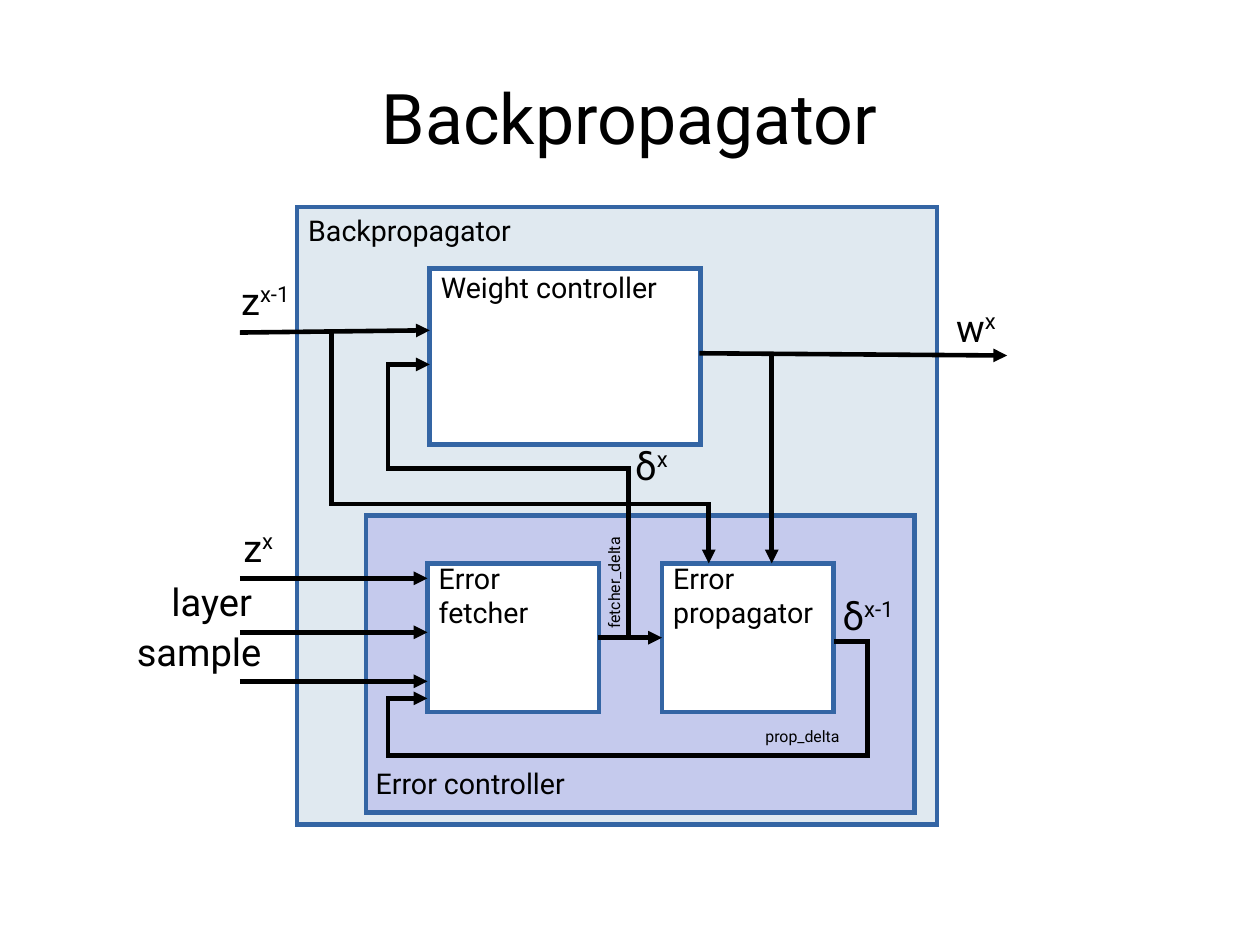
"""Draw the block diagram of the backpropagator."""
from typing import NamedTuple

from lxml import etree
from pptx import Presentation
from pptx import util as u
from pptx.dml.color import RGBColor
from pptx.enum import shapes, text
from pptx.oxml import ns

FONT = "Roboto"
INK, EDGE, WHITE = "000000", "3465A4", "FFFFFF"
WIDTH = 2.89
LEFT, RIGHT, MID = text.PP_ALIGN.LEFT, text.PP_ALIGN.RIGHT, text.PP_ALIGN.CENTER


class Box(NamedTuple):
    """A filled block, in centimetres."""
    x: float
    y: float
    w: float
    h: float
    fill: str = WHITE


class Label(NamedTuple):
    """A text with its place, in centimetres, and its format."""
    words: str
    x: float
    y: float
    w: float
    h: float
    size: int = 18
    sup: str = ""
    align: text.PP_ALIGN = LEFT
    turn: int = 0


BOXES = [
    Box(6.6, 4.6, 14.22, 13.72, "E0E9F0"),
    Box(8.13, 11.46, 12.19, 6.6, "C5CAED"),
    Box(9.55, 5.97, 6.02, 3.91),
    Box(9.5, 12.52, 3.81, 3.3),
    Box(14.71, 12.52, 3.81, 3.3),
]

WIRES = [
    [(13.28, 14.17), (14.71, 14.17)],
    [(13.97, 14.17), (13.97, 10.41), (8.62, 10.41), (8.62, 8.1), (9.55, 8.1)],
    [(15.54, 7.85), (22.38, 7.9)],
    [(17.15, 7.85), (17.15, 12.52)],
    [(18.54, 14.25), (19.28, 14.25), (19.28, 16.79), (8.62, 16.79),
     (8.62, 15.52), (9.5, 15.52)],
    [(5.33, 7.39), (9.55, 7.34)],
    [(7.37, 7.34), (7.37, 11.2), (15.75, 11.2), (15.75, 12.52)],
    *([(5.33, y), (9.5, y)] for y in (12.85, 14.05, 15.14)),
]

LABELS = [
    Label("Backpropagator", 1.4, 0.84, 25.2, 3.5, 44, align=MID),
    Label("Backpropagator", 6.6, 4.6, 11.2, 1.3),
    Label("Weight controller", 9.55, 5.87, 6.91, 2.51),
    Label("Error \nfetcher", 9.5, 12.34, 3.56, 2.51),
    Label("Error \npropagator", 14.71, 12.34, 3.81, 3.05),
    Label("Error controller", 8.1, 16.89, 6.91, 2.51),
    Label("z", 5.11, 6.04, 1.8, 1.5, 24, "x-1"),
    Label("z", 5.05, 11.53, 1.27, 1.78, 24, "x", RIGHT),
    Label("w", 20.88, 6.63, 1.5, 1.5, 24, "x", RIGHT),
    Label("δ", 13.67, 9.7, 1.42, 1.5, 24, "x", RIGHT),
    Label("δ", 17.42, 13.03, 2.69, 2.74, 24, "x-1", RIGHT),
    Label("layer", 3.56, 12.72, 2.77, 1.78, 24),
    Label("sample", 2.79, 13.84, 3.53, 2.74, 24),
    Label("prop_delta", 16.76, 16.03, 2.29, 0.76, 10),
    Label("fetcher_delta", 11.96, 11.58, 3.99, 1.3, 10, turn=270),
]


def paint(color, tint: str) -> None:
    """Set a colour from a hex string."""
    color.rgb = RGBColor.from_string(tint)


def stroke(item, tint: str, arrow: bool = False) -> None:
    """Give an item a mitred line, with an arrowhead if asked."""
    item.line.fill.solid()
    paint(item.line.fill.fore_color, tint)
    item.line.width = u.Pt(WIDTH)
    line = item.line._get_or_add_ln()
    etree.SubElement(line, ns.qn("a:miter"), lim="800000")
    if arrow:
        etree.SubElement(line, ns.qn("a:tailEnd"), type="triangle")


def block(slide, box: Box) -> None:
    """Draw a filled block."""
    item = slide.shapes.add_shape(
        shapes.MSO_SHAPE.RECTANGLE, *map(u.Cm, box[:4]))
    item.shadow.inherit = False
    item.fill.solid()
    paint(item.fill.fore_color, box.fill)
    stroke(item, EDGE)


def wire(slide, points: list[tuple[float, float]]) -> None:
    """Draw an arrow through the points."""
    spots = [(u.Cm(x), u.Cm(y)) for x, y in points]
    if len(spots) == 2:
        item = slide.shapes.add_connector(
            shapes.MSO_CONNECTOR.STRAIGHT, *spots[0], *spots[1])
        stroke(item, INK, arrow=True)
        etree.SubElement(item._element.spPr, ns.qn("a:effectLst"))
        return
    path = slide.shapes.build_freeform(*spots[0])
    path.add_line_segments(spots[1:], close=False)
    item = path.convert_to_shape()
    item.shadow.inherit = False
    item.fill.background()
    stroke(item, INK, arrow=True)


def write(para, words: str, *, size: int, tint: str = INK,
          sup: bool = False) -> None:
    """Add a formatted run to a paragraph."""
    run = para.add_run()
    run.text = words
    run.font.name = FONT
    run.font.size = u.Pt(size)
    paint(run.font.color, tint)
    if sup:
        run._r.get_or_add_rPr().set("baseline", "33000")


def label(slide, tag: Label) -> None:
    """Place a label, with its superscript if any."""
    item = slide.shapes.add_textbox(
        u.Cm(tag.x), u.Cm(tag.y), u.Cm(tag.w), u.Cm(tag.h))
    item.rotation = tag.turn
    frame = item.text_frame
    frame.word_wrap = True
    if tag.align == MID:
        frame.vertical_anchor = text.MSO_ANCHOR.MIDDLE
    para = frame.paragraphs[0]
    para.alignment = tag.align
    for row, words in enumerate(tag.words.split("\n")):
        if row:
            para.add_line_break()
        write(para, words, size=tag.size)
    if tag.sup:
        write(para, tag.sup, size=tag.size, sup=True)


def main() -> None:
    """Build and save the slide."""
    deck = Presentation()
    deck.slide_width, deck.slide_height = u.Cm(28), u.Cm(21)
    slide = deck.slides.add_slide(deck.slide_layouts[6])
    for box in BOXES:
        block(slide, box)
    for points in WIRES:
        wire(slide, points)
    for tag in LABELS:
        label(slide, tag)
    deck.save("out.pptx")


if __name__ == "__main__":
    main()
